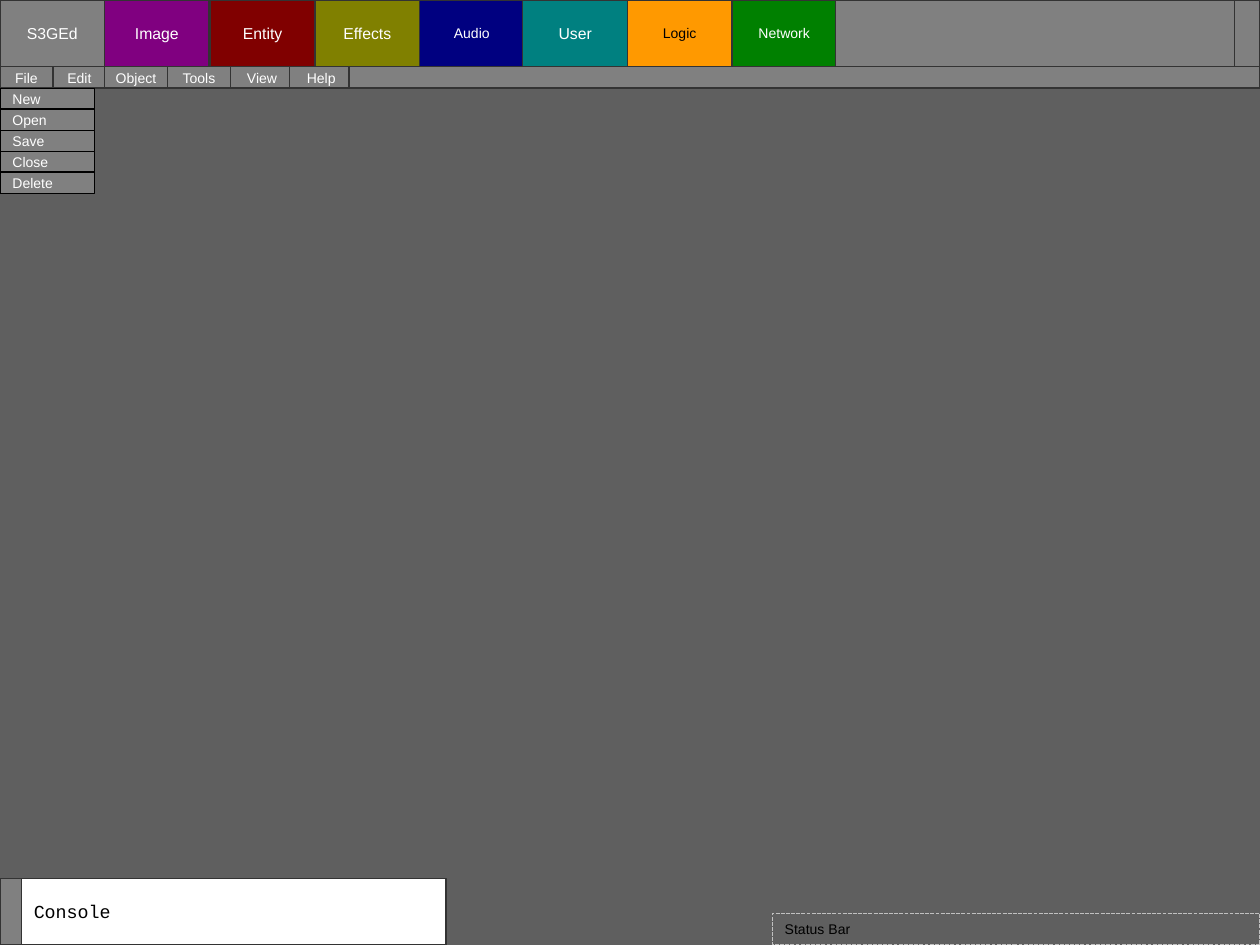
from dataclasses import dataclass

from pptx import Presentation
from pptx.dml.color import RGBColor
from pptx.enum.dml import MSO_LINE
from pptx.enum.shapes import MSO_SHAPE
from pptx.enum.text import MSO_ANCHOR, PP_ALIGN
from pptx.slide import Slide
from pptx.util import Inches, Pt

RECTANGLE = MSO_SHAPE.RECTANGLE
MIDDLE = MSO_ANCHOR.MIDDLE
LEFT, CENTER = PP_ALIGN.LEFT, PP_ALIGN.CENTER
DASHED = MSO_LINE.SQUARE_DOT


@dataclass(frozen=True)
class Theme:
    background: str = "5F5F5F"
    panel: str = "808080"
    border: str = "333333"
    menu_border: str = "000000"
    status_border: str = "C0C0C0"
    light: str = "FFFFFF"
    dark: str = "000000"
    sans: str = "Arial"
    mono: str = "Courier New"
    small: float = 8
    medium: float = 9
    console: float = 10.5
    line_width: float = 0.75


THEME = Theme()


@dataclass(frozen=True)
class Panel:
    left: float
    top: float
    width: float
    height: float
    label: str = ""
    fill: str | None = THEME.panel
    border: str = THEME.border
    dashed: bool = False
    color: str = THEME.light
    size: float = THEME.small
    font: str = THEME.sans
    align: PP_ALIGN = CENTER


@dataclass(frozen=True)
class Tab:
    label: str
    left: float
    fill: str
    size: float = THEME.medium
    color: str = THEME.light


def draw_label(shape, panel: Panel) -> None:
    frame = shape.text_frame
    frame.word_wrap = False
    frame.vertical_anchor = MIDDLE
    paragraph = frame.paragraphs[0]
    paragraph.alignment = panel.align
    run = paragraph.add_run()
    run.text = panel.label
    for name, value in {"name": panel.font, "size": Pt(panel.size)}.items():
        setattr(run.font, name, value)
    run.font.color.rgb = RGBColor.from_string(panel.color)


def draw_panel(slide: Slide, panel: Panel) -> None:
    shape = slide.shapes.add_shape(
        RECTANGLE, Inches(panel.left), Inches(panel.top),
        Inches(panel.width), Inches(panel.height))
    shape.shadow.inherit = False
    if panel.fill:
        shape.fill.solid()
        shape.fill.fore_color.rgb = RGBColor.from_string(panel.fill)
    else:
        shape.fill.background()
    shape.line.color.rgb = RGBColor.from_string(panel.border)
    shape.line.width = Pt(THEME.line_width)
    if panel.dashed:
        shape.line.dash_style = DASHED
    if panel.label:
        draw_label(shape, panel)


# Layout
SLIDE_WIDTH, SLIDE_HEIGHT = 10, 7.5
BAR_HEIGHT = 0.53
TAB_WIDTH = 0.83
ROW_HEIGHT = 0.17
ROW_STEP = 1 / 6
MENU_TOP = BAR_HEIGHT
FILE_MENU_TOP = 0.7
CONSOLE_TOP = SLIDE_HEIGHT - BAR_HEIGHT

# Content
TABS = [
    Tab("S3GEd", 0, THEME.panel),
    Tab("Image", 0.83, "800080"),
    Tab("Entity", 1.67, "800000"),
    Tab("Effects", 2.5, "808000"),
    Tab("Audio", 3.33, "000080", THEME.small),
    Tab("User", 4.15, "008080"),
    Tab("Logic", 4.98, "FF9900", THEME.small, THEME.dark),
    Tab("Network", 5.81, "008000", THEME.small),
]
MENUS = [("File", 0, 0.42), ("Edit", 0.42, 0.42), ("Object", 0.83, 0.5),
         ("Tools", 1.33, 0.5), ("View", 1.83, 0.5), ("Help", 2.3, 0.5),
         ("", 2.77, 7.23)]
FILE_COMMANDS = ["New", "Open", "Save", "Close", "Delete"]


def main() -> None:
    deck = Presentation()
    deck.slide_width, deck.slide_height = Inches(SLIDE_WIDTH), Inches(SLIDE_HEIGHT)
    slide = deck.slides.add_slide(deck.slide_layouts[6])
    slide.background.fill.solid()
    slide.background.fill.fore_color.rgb = RGBColor.from_string(THEME.background)

    # Editor tabs and the rest of the top bar
    panels = [Panel(tab.left, 0, TAB_WIDTH, BAR_HEIGHT, tab.label, tab.fill,
                    color=tab.color, size=tab.size) for tab in TABS]
    panels += [Panel(6.63, 0, 3.17, BAR_HEIGHT), Panel(9.8, 0, 0.2, BAR_HEIGHT)]

    # Status bar and console
    panels += [
        Panel(6.13, 7.25, 3.87, 0.25, "Status Bar", None, THEME.status_border,
              dashed=True, color=THEME.dark, align=LEFT),
        Panel(0, CONSOLE_TOP, 0.17, BAR_HEIGHT),
        Panel(0.17, CONSOLE_TOP, 3.37, BAR_HEIGHT, "Console", THEME.light,
              color=THEME.dark, size=THEME.console, font=THEME.mono, align=LEFT),
    ]

    # Menu bar and the open File menu
    panels += [Panel(left, MENU_TOP, width, ROW_HEIGHT, label)
               for label, left, width in MENUS]
    panels += [Panel(0, FILE_MENU_TOP + row * ROW_STEP, 0.75, ROW_HEIGHT, command,
                     border=THEME.menu_border, align=LEFT)
               for row, command in enumerate(FILE_COMMANDS)]

    for panel in panels:
        draw_panel(slide, panel)
    deck.save("out.pptx")


if __name__ == "__main__":
    main()
